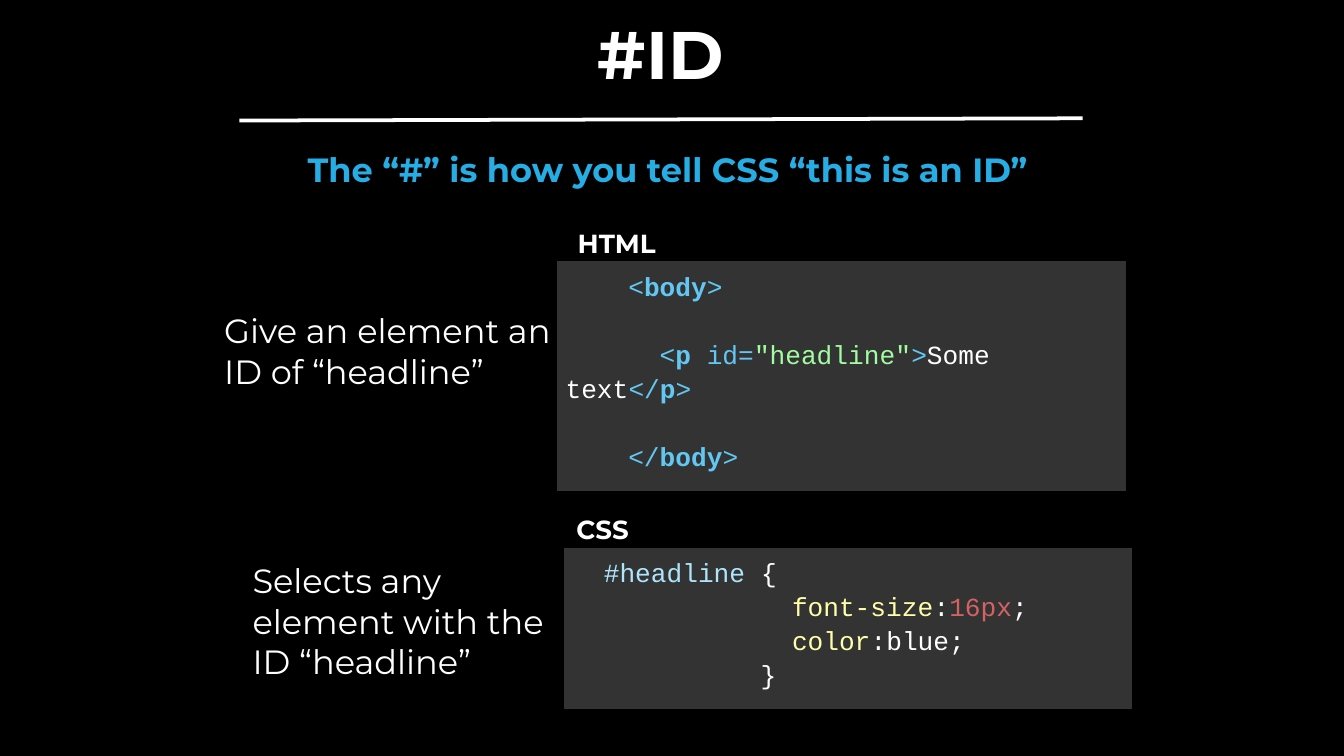
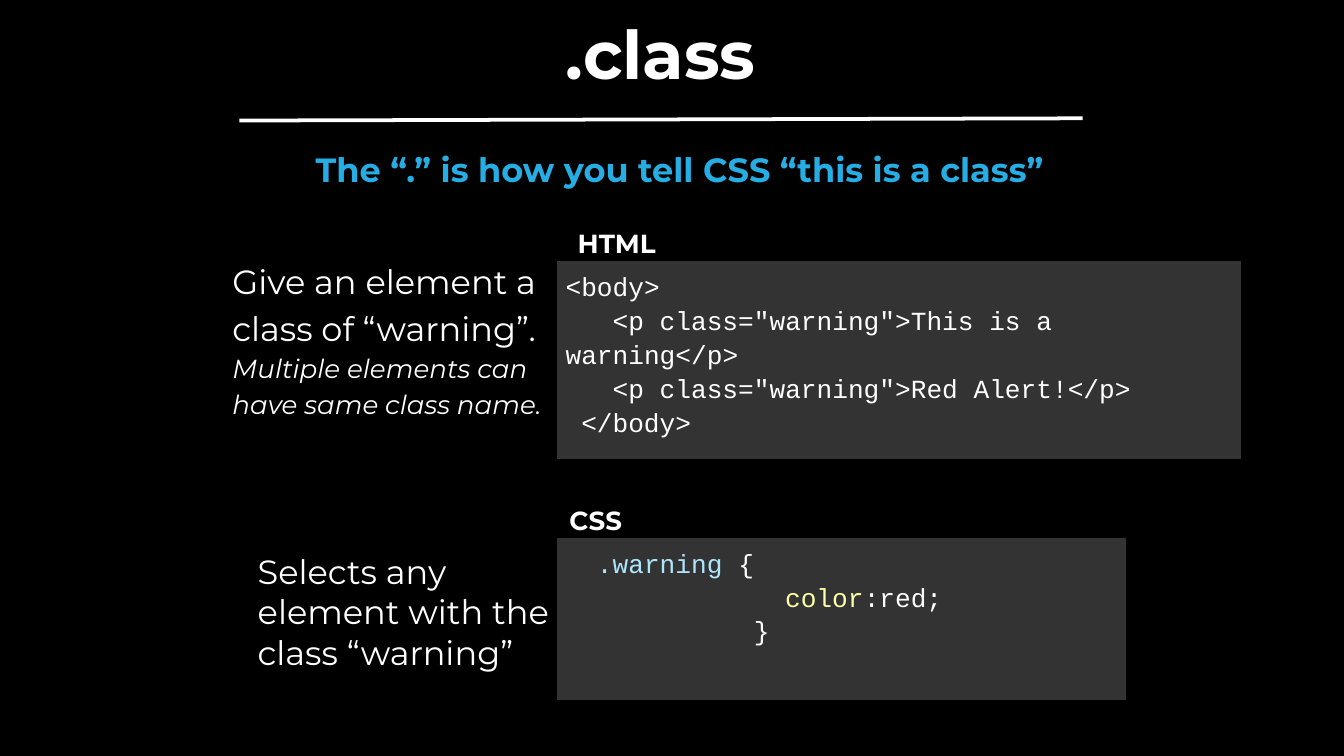
from lxml import etree
from pptx import Presentation
from pptx import util as u
from pptx.dml.color import RGBColor
from pptx.enum import shapes, text
from pptx.oxml import ns

Pt = u.Pt
HEADING_FONT, CODE_FONT = "Montserrat", "Courier New"
BLACK, WHITE, BLUE, PANEL = "000000", "FFFFFF", "26ADE4", "333333"
TAG, STRING, SELECTOR, PROPERTY, NUMBER = "62C8F3", "A2FCA2", "ADE5FC", "FFFFAA", "D36363"
CODE_SIZE = 14
CHARACTER_WIDTH = 0.6 * CODE_SIZE
CODE_LINE_HEIGHT = 18.2
PANEL_LEFT, PANEL_WIDTH = 298, 305.3
CSS_HEIGHT = 87.1


def color(value):
    return RGBColor.from_string(value)


def format_run(run, size, value=WHITE, bold=False, italic=False, font=HEADING_FONT):
    run.font.name = font
    run.font.size = Pt(size)
    run.font.bold = bold
    run.font.italic = italic
    run.font.color.rgb = color(value)


def set_margins(frame, horizontal, vertical):
    frame.margin_left = frame.margin_right = Pt(horizontal)
    frame.margin_top = frame.margin_bottom = Pt(vertical)


def add_title(slide, title):
    shape = slide.shapes.title
    shape.left, shape.top, shape.width, shape.height = Pt(-6), Pt(11), Pt(720), Pt(40)
    frame = shape.text_frame
    frame.text = title
    frame.auto_size = text.MSO_AUTO_SIZE.NONE
    frame.vertical_anchor = text.MSO_ANCHOR.MIDDLE
    set_margins(frame, 2.7, 0)
    paragraph = frame.paragraphs[0]
    paragraph.alignment = text.PP_ALIGN.CENTER
    paragraph.line_spacing = 0.9
    format_run(paragraph.runs[0], 36, bold=True)


def add_title_rule(slide):
    line = slide.shapes.add_connector(
        shapes.MSO_CONNECTOR.STRAIGHT, Pt(128.2), Pt(64.6), Pt(580), Pt(63.4))
    line.line.color.rgb = color(WHITE)
    line.line.width = Pt(2)
    etree.SubElement(line._element.spPr, ns.qn("a:effectLst"))


def add_text(slide, box, paragraphs, vertical_margin=3.6, line_spacing=None):
    """Each paragraph is its wording and a dict of run formats."""
    frame = slide.shapes.add_textbox(*map(Pt, box)).text_frame
    frame.word_wrap = True
    set_margins(frame, 7.2, vertical_margin)
    frame.text = "\n".join(wording for wording, _ in paragraphs)
    for paragraph, (_, style) in zip(frame.paragraphs, paragraphs):
        paragraph.line_spacing = line_spacing
        format_run(paragraph.runs[0], **style)


def set_borders(cell):
    properties = cell._tc.get_or_add_tcPr()
    for position, side in enumerate(("lnL", "lnR", "lnT", "lnB")):
        border = etree.Element(ns.qn("a:" + side), w=str(Pt(0.75)))
        fill = etree.SubElement(border, ns.qn("a:solidFill"))
        etree.SubElement(fill, ns.qn("a:srgbClr"), val=BLACK)
        properties.insert(position, border)


def write_code_line(paragraph, indent, blank_before, tokens):
    """Indent is in characters; a token is its wording, colour and, if wanted, bold."""
    properties = paragraph._p.get_or_add_pPr()
    properties.set("marL", "0")
    properties.set("indent", str(Pt(indent * CHARACTER_WIDTH)))
    paragraph.line_spacing = 1.15
    if blank_before:
        paragraph.space_before = Pt(CODE_LINE_HEIGHT)
    for wording, value, *bold in tokens:
        run = paragraph.add_run()
        run.text = wording
        format_run(run, CODE_SIZE, value, bold=bool(bold), font=CODE_FONT)


def add_code_panel(slide, label, box, lines, label_shift=0.0):
    left, top, width, height = box
    add_text(slide, (left + label_shift, top - 25.2, 100.8, 21.6),
             [(label, dict(size=14, bold=True))], vertical_margin=7.2)
    table = slide.shapes.add_table(1, 1, *map(Pt, box)).table
    table.first_row = table.horz_banding = False
    cell = table.cell(0, 0)
    cell.fill.solid()
    cell.fill.fore_color.rgb = color(PANEL)
    set_margins(cell, 5, 5)
    set_borders(cell)
    frame = cell.text_frame
    for number, line in enumerate(lines):
        paragraph = frame.add_paragraph() if number else frame.paragraphs[0]
        write_code_line(paragraph, *line)


def tag(name, opening="<"):
    return [(opening, TAG), (name, TAG, True), (">", TAG)]


def plain(indent, wording):
    return indent, False, [(wording, WHITE)]


def rule_start(selector):
    return 2, False, [(selector, SELECTOR), (" {", WHITE)]


def declaration(name, *value):
    return 14, False, [(name, PROPERTY), (":", WHITE), *value]


def add_selector_slide(presentation, title, lead, lead_box):
    slide = presentation.slides.add_slide(presentation.slide_layouts[5])
    add_title(slide, title)
    add_title_rule(slide)
    add_text(slide, lead_box, [(lead, dict(size=18, value=BLUE, bold=True))])
    return slide


def add_id_slide(presentation):
    slide = add_selector_slide(
        presentation, "#ID", "The “#” is how you tell CSS “this is an ID”",
        (157.7, 76.3, 425.5, 51))
    add_code_panel(slide, "HTML", (PANEL_LEFT, 139.7, PANEL_WIDTH, 118), [
        (4, False, tag("body")),
        (6, True, [("<", TAG), ("p", TAG, True), (" id=", TAG), ("\"headline\"", STRING),
                   (">", TAG), ("Some text", WHITE), *tag("p", "</")]),
        (4, True, tag("body", "</")),
    ], label_shift=4.4)
    add_code_panel(slide, "CSS", (301.7, 293, PANEL_WIDTH, CSS_HEIGHT), [
        rule_start("#headline"),
        declaration("font-size", ("16px", NUMBER), (";", WHITE)),
        declaration("color", ("blue;", WHITE)),
        plain(12, "}"),
    ])
    add_text(slide, (113, 162.7, 190.8, 51),
             [("Give an element an ID of “headline”", dict(size=18))])
    add_text(slide, (128.2, 296.6, 190.8, 51),
             [("Selects any element with the ID “headline”", dict(size=18))])


def add_class_slide(presentation):
    slide = add_selector_slide(
        presentation, ".class", "The “.” is how you tell CSS “this is a class”",
        (162, 76.3, 433.4, 51))
    add_code_panel(slide, "HTML", (PANEL_LEFT, 139.7, 367.2, 100), [
        plain(0, "<body>"),
        plain(3, "<p class=\"warning\">This is a warning</p>"),
        plain(3, "<p class=\"warning\">Red Alert!</p>"),
        plain(1, "</body>"),
    ], label_shift=4.4)
    add_code_panel(slide, "CSS", (PANEL_LEFT, 288, PANEL_WIDTH, CSS_HEIGHT), [
        rule_start(".warning"),
        declaration("color", ("red;", WHITE)),
        plain(12, "}"),
    ])
    add_text(slide, (117.4, 133.2, 198, 51), [
        ("Give an element a class of “warning”.", dict(size=18)),
        ("Multiple elements can have same class name.", dict(size=14, italic=True)),
    ], line_spacing=1.15)
    add_text(slide, (131, 291.6, 190.8, 51),
             [("Selects any element with the class “warning”", dict(size=18))])


def main():
    presentation = Presentation()
    presentation.slide_width, presentation.slide_height = Pt(720), Pt(405)
    background = presentation.slide_master.background.fill
    background.solid()
    background.fore_color.rgb = color(BLACK)
    add_id_slide(presentation)
    add_class_slide(presentation)
    presentation.save("out.pptx")


if __name__ == "__main__":
    main()
